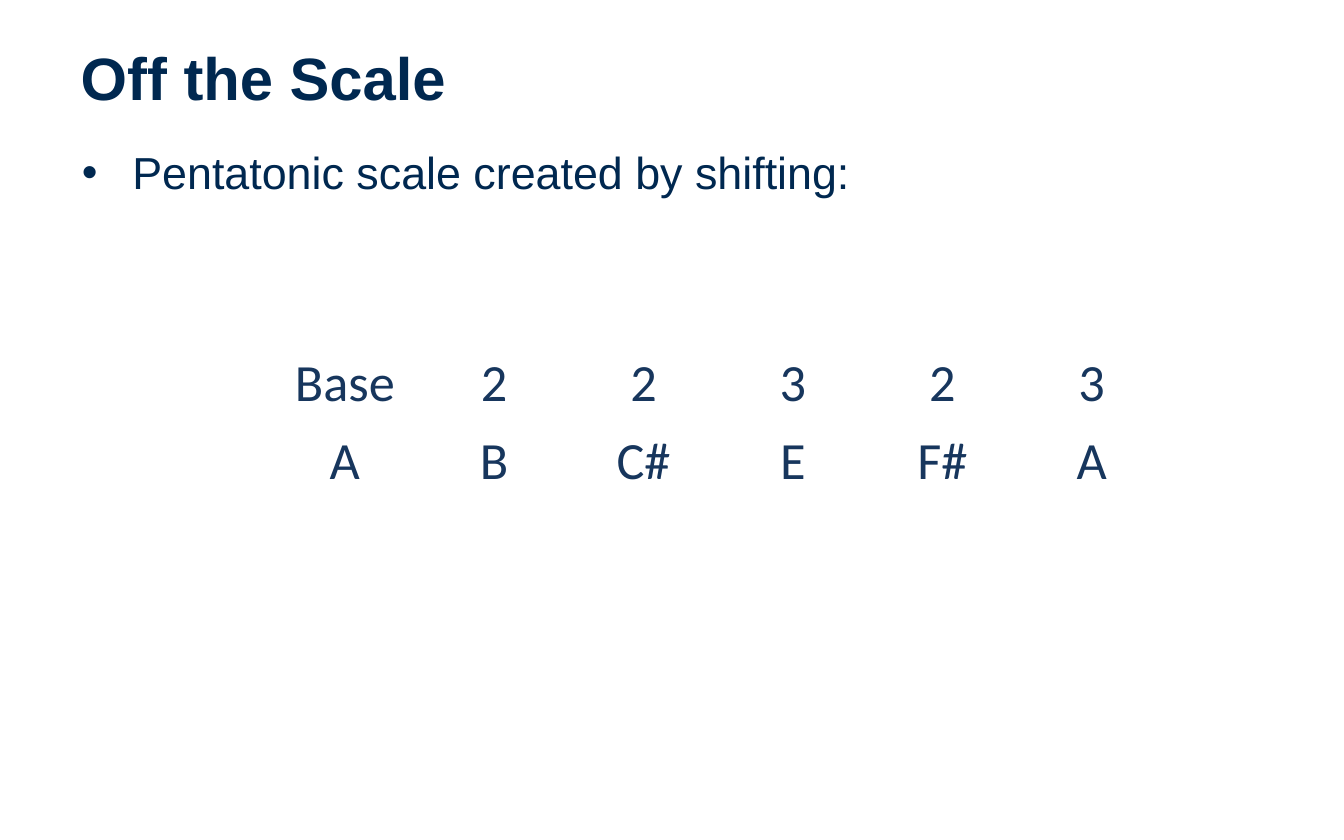
from pptx import Presentation
from pptx.dml.color import RGBColor
from pptx.enum.text import MSO_ANCHOR, PP_ALIGN
from pptx.util import Inches, Pt

LEFT, CENTER = PP_ALIGN.LEFT, PP_ALIGN.CENTER
MIDDLE = MSO_ANCHOR.MIDDLE

COLORS = {"text": "002850", "table": "17365D"}

SCALE = [
    ["Base", "2", "2", "3", "2", "3"],
    ["A", "B", "C#", "E", "F#", "A"],
]


def format_paragraph(p, font, size, color, align, bold=False):
    p.alignment = align
    p.font.name = font
    p.font.size = Pt(size)
    p.font.bold = bold
    p.font.color.rgb = RGBColor.from_string(COLORS[color])


def fill_placeholder(sp, box, text, size, bold=False):
    sp.left, sp.top, sp.width, sp.height = [Inches(v) for v in box]
    tf = sp.text_frame
    tf.text = text
    format_paragraph(tf.paragraphs[0], "Arial", size, "text", LEFT, bold)


def add_scale_table(s, left, top, width, height, rows):
    table = s.shapes.add_table(len(rows), len(rows[0]), Inches(left), Inches(top),
                               Inches(width), Inches(height)).table
    table.first_row = False
    table.horz_banding = False
    for r, row in enumerate(rows):
        for c, text in enumerate(row):
            cell = table.cell(r, c)
            cell.fill.background()
            cell.vertical_anchor = MIDDLE
            cell.text = text
            format_paragraph(cell.text_frame.paragraphs[0], "Calibri", 28, "table", CENTER)


def main():
    prs = Presentation()
    prs.slide_width, prs.slide_height = Inches(10), Inches(6.25)
    s = prs.slides.add_slide(prs.slide_layouts[1])

    # Title and bullet
    fill_placeholder(s.shapes.title, (0.5, 0.25, 9, 0.64), "Off the Scale", 32, bold=True)
    fill_placeholder(s.placeholders[1], (0.51, 1.03, 9, 4.12),
                     "Pentatonic scale created by shifting:", 24)

    # Shifts above the notes they lead to
    add_scale_table(s, 2.01, 2.57, 6.67, 1.13, SCALE)

    prs.save("out.pptx")


if __name__ == "__main__":
    main()
